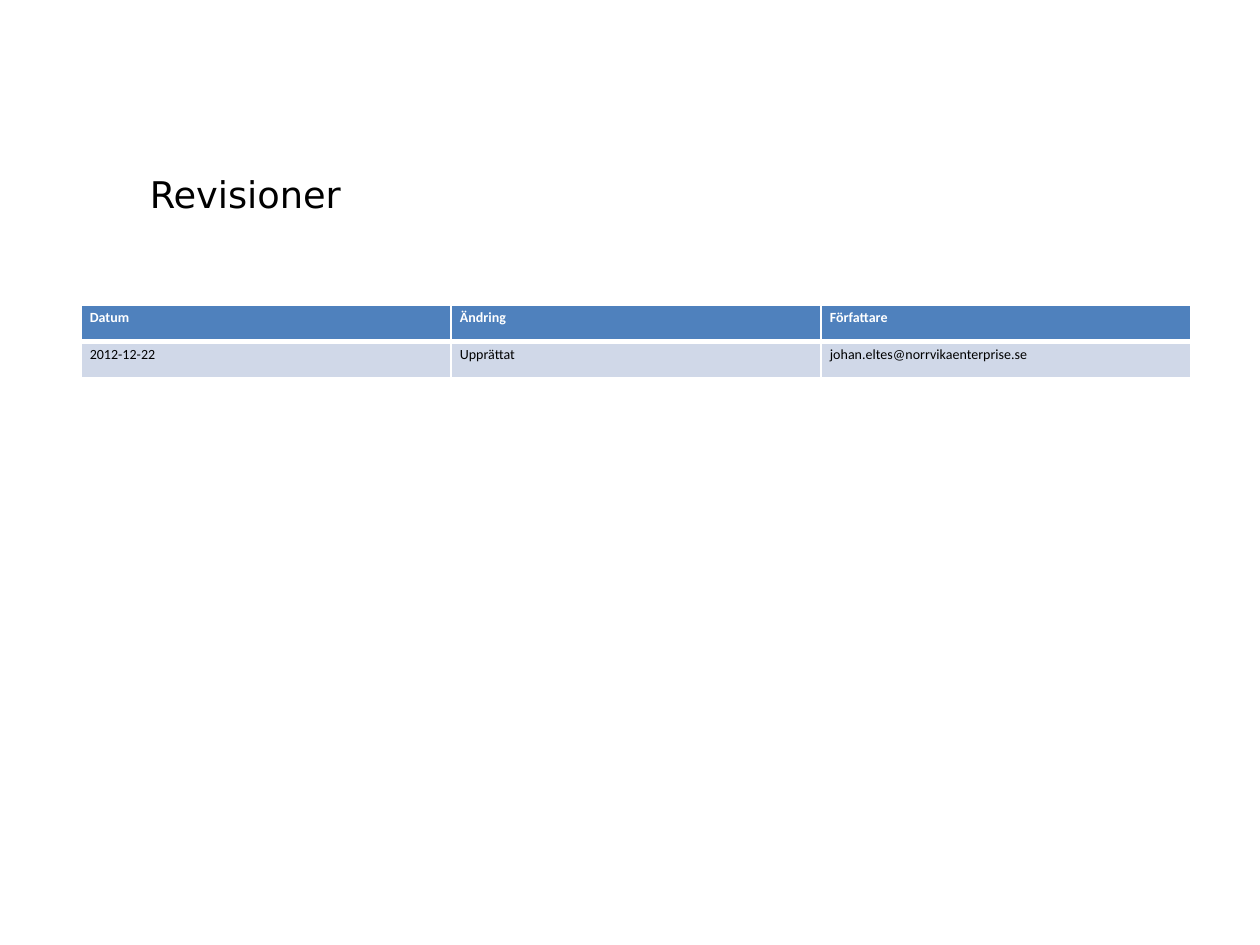
import pptx
import pptx.dml.color
import pptx.enum.text
import pptx.oxml
import pptx.oxml.ns
import pptx.util
from pptx.util import Cm

RGBColor = pptx.dml.color.RGBColor
BLACK = RGBColor(0x00, 0x00, 0x00)
WHITE = RGBColor(0xFF, 0xFF, 0xFF)
HEADER_BLUE = RGBColor(0x4F, 0x81, 0xBD)
ROW_BLUE = RGBColor(0xD0, 0xD8, 0xE8)
MIDDLE = pptx.enum.text.MSO_ANCHOR.MIDDLE

REVISIONS = [
    ["Datum", "Ändring", "Författare"],
    ["2012-12-22", "Upprättat", "johan.eltes@norrvikaenterprise.se"],
]


def apply_format(target, values):
    """Set every attribute named in values on the target."""
    for name, value in values.items():
        setattr(target, name, value)


class SlideBuilder:
    """Holds the style and the slide being built."""

    title_font = {"name": "DejaVu Sans", "size": pptx.util.Pt(21)}
    cell_font = {"name": "Calibri", "size": pptx.util.Pt(8)}
    cell_margins = {"margin_left": Cm(0.18), "margin_right": Cm(0.18),
                    "margin_top": Cm(0.09), "margin_bottom": Cm(0.09)}

    def __init__(self, presentation):
        """Add a blank slide to the presentation."""
        self.slide = presentation.slides.add_slide(presentation.slide_layouts[6])

    def add_text(self, text_frame, text, font_format, color):
        """Put one formatted run into a text frame."""
        run = text_frame.paragraphs[0].add_run()
        run.text = text
        apply_format(run.font, font_format)
        run.font.color.rgb = color

    def add_title(self, text, left, top, width, height):
        """Add the slide title."""
        shape = self.slide.shapes.add_textbox(left, top, width, height)
        apply_format(shape.text_frame,
                     {"word_wrap": True, "vertical_anchor": MIDDLE})
        self.add_text(shape.text_frame, text, self.title_font, BLACK)

    def add_borders(self, cell, color, widths):
        """Draw cell borders; widths maps a side (L, R, T, B) to points."""
        properties = cell._tc.get_or_add_tcPr()
        for index, (side, points) in enumerate(widths.items()):
            line = pptx.oxml.parse_xml(
                f'<a:ln{side} {pptx.oxml.ns.nsdecls("a")} '
                f'w="{pptx.util.Pt(points)}"><a:solidFill>'
                f'<a:srgbClr val="{color}"/></a:solidFill></a:ln{side}>')
            properties.insert(index, line)

    def add_table(self, rows, left, top, width, row_height):
        """Add a table with a bold header row and equal columns."""
        shape = self.slide.shapes.add_table(
            len(rows), len(rows[0]), left, top, width, row_height * len(rows))
        for row_index, row in enumerate(rows):
            header = row_index == 0
            # The header's lower rule meets the top of the first body row.
            widths = {"L": 1, "R": 1, "T": 3 if row_index == 1 else 1,
                      "B": 3 if header else 1}
            for column_index, text in enumerate(row):
                cell = shape.table.cell(row_index, column_index)
                apply_format(cell, self.cell_margins)
                cell.fill.solid()
                cell.fill.fore_color.rgb = HEADER_BLUE if header else ROW_BLUE
                self.add_text(cell.text_frame, text,
                              {**self.cell_font, "bold": header},
                              WHITE if header else BLACK)
                self.add_borders(cell, WHITE, widths)


def main():
    """Build and save the revisions slide."""
    presentation = pptx.Presentation()
    apply_format(presentation,
                 {"slide_width": Cm(25.4), "slide_height": Cm(19.05)})
    builder = SlideBuilder(presentation)
    builder.add_title("Revisioner", Cm(2.77), Cm(2.82), Cm(21.23), Cm(2.16))
    builder.add_table(REVISIONS, Cm(1.63), Cm(6.15), Cm(22.38), Cm(0.73))
    presentation.save("out.pptx")


main()
